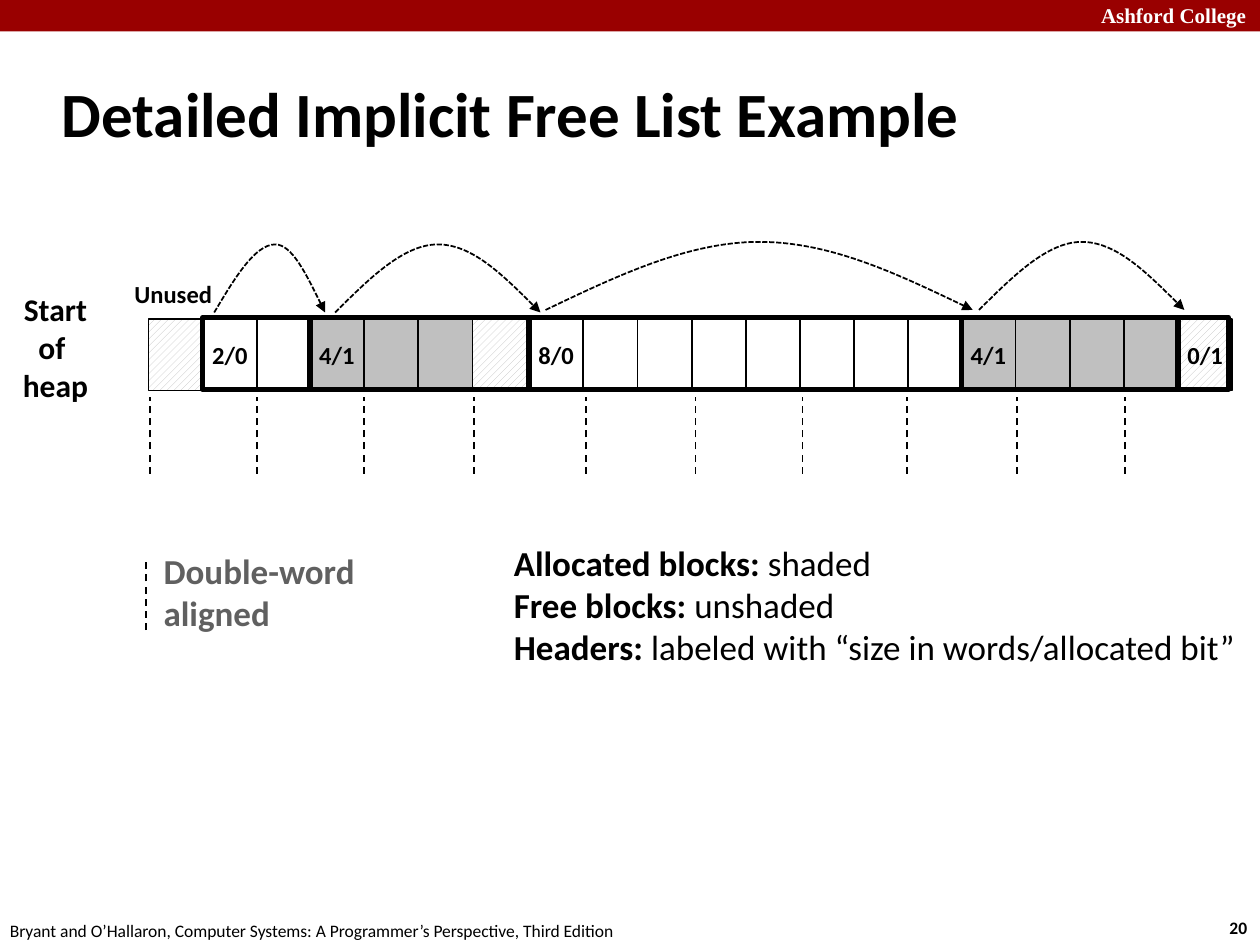
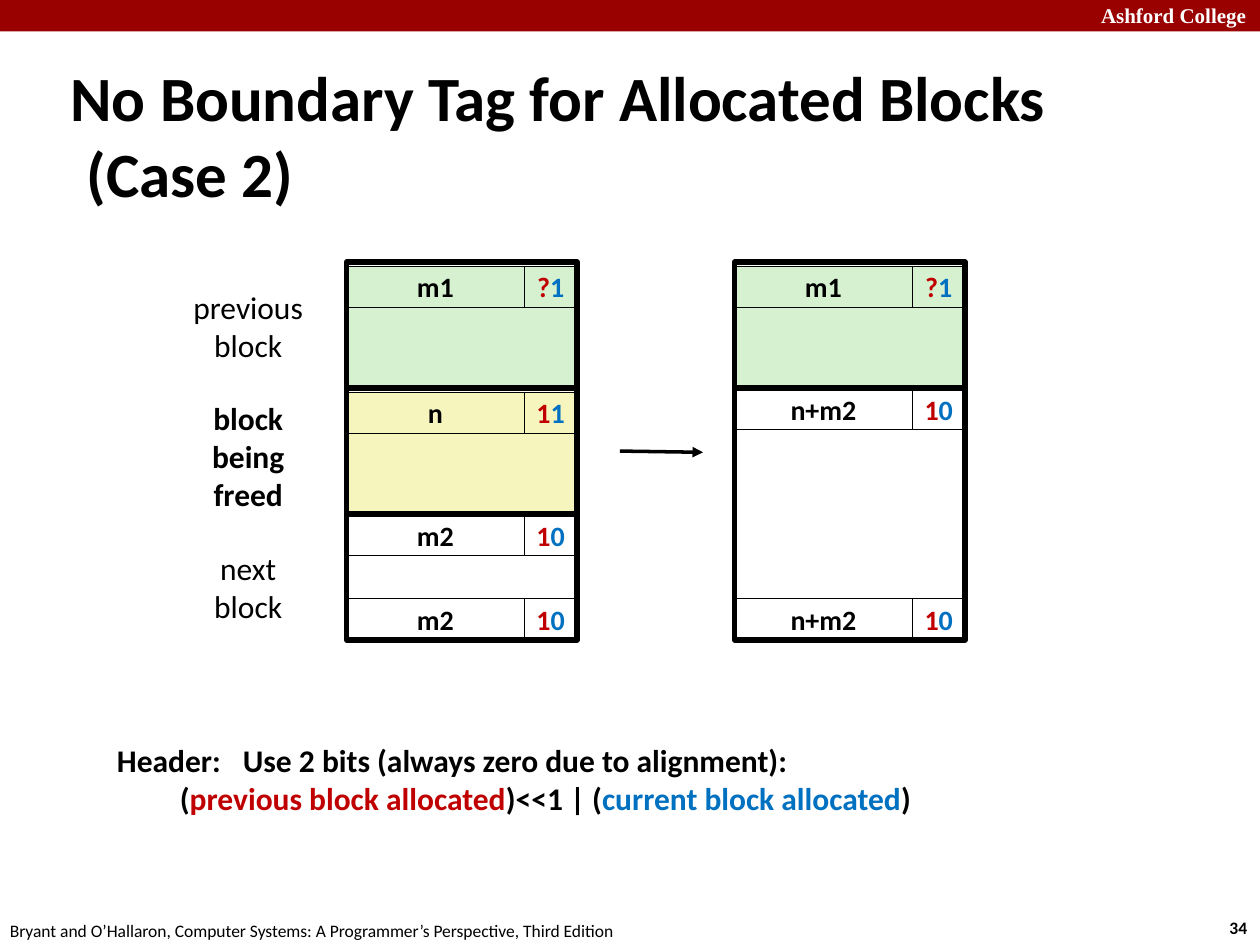
"""Build two lecture slides about heap blocks and boundary tags."""
from dataclasses import dataclass

from lxml.etree import SubElement
from pptx import Presentation
from pptx.dml.color import RGBColor
from pptx.enum.dml import MSO_LINE, MSO_PATTERN
from pptx.enum.shapes import MSO_CONNECTOR, MSO_SHAPE
from pptx.enum.text import MSO_ANCHOR, MSO_AUTO_SIZE, PP_ALIGN
from pptx.oxml.ns import qn
from pptx.util import Inches, Pt


@dataclass(frozen=True)
class Theme:
    """Colours, fonts and sizes shared by the slides."""
    black: str = "000000"
    white: str = "FFFFFF"
    band: str = "990000"
    muted: str = "606060"
    shaded: str = "C0C0C0"
    green: str = "D5F1CF"
    yellow: str = "F6F5BD"
    previous_bit: str = "C00000"
    current_bit: str = "0070C0"
    font: str = "Calibri"
    band_font: str = "Times New Roman"
    title: int = 36
    legend: int = 20
    label: int = 18
    tag: int = 16
    word: int = 14
    band_size: int = 12
    footer: int = 10
    hairline: float = 0.26
    thin: float = 1
    arrow: float = 2
    thick: float = 3


@dataclass(frozen=True)
class Box:
    """A region in inches."""
    left: float
    top: float
    width: float
    height: float

    def lengths(self):
        """Return the four sides as lengths."""
        return [Inches(side) for side in (self.left, self.top, self.width, self.height)]


THEME = Theme()
HATCHED = "hatched"
CITATION = "Bryant and O’Hallaron, Computer Systems: A Programmer’s Perspective, Third Edition"


def color(code):
    """Turn a hexadecimal code into a colour."""
    return RGBColor.from_string(code)


def add_runs(paragraph, runs, size, font=THEME.font):
    """Add (text, bold, colour) runs, with line breaks where a text has them."""
    for text, bold, code in runs:
        for number, line in enumerate(text.split("\n")):
            if number:
                paragraph.add_line_break()
            run = paragraph.add_run()
            run.text = line
            run.font.name, run.font.size = font, Pt(size)
            run.font.bold, run.font.color.rgb = bold, color(code)


def add_text(slide, box, paragraphs, size, align=PP_ALIGN.LEFT, anchor=MSO_ANCHOR.TOP,
             wrap=False, font=THEME.font):
    """Add a text box holding one list of runs for each paragraph."""
    frame = slide.shapes.add_textbox(*box.lengths()).text_frame
    frame.word_wrap, frame.vertical_anchor = wrap, anchor
    frame.auto_size = MSO_AUTO_SIZE.SHAPE_TO_FIT_TEXT
    for number, runs in enumerate(paragraphs):
        paragraph = frame.add_paragraph() if number else frame.paragraphs[0]
        paragraph.alignment = align
        add_runs(paragraph, runs, size, font)


def add_rectangle(slide, box, fill=None, weight=None, runs=(), size=THEME.tag):
    """Add a rectangle with optional fill, black outline and centred text."""
    shape = slide.shapes.add_shape(MSO_SHAPE.RECTANGLE, *box.lengths())
    shape.shadow.inherit = False
    if fill == HATCHED:
        shape.fill.patterned()
        shape.fill.pattern = MSO_PATTERN.WIDE_UPWARD_DIAGONAL
        shape.fill.fore_color.rgb = color(THEME.shaded)
        shape.fill.back_color.rgb = color(THEME.white)
    elif fill:
        shape.fill.solid()
        shape.fill.fore_color.rgb = color(fill)
    else:
        shape.fill.background()
    if weight:
        style_line(shape, weight)
    else:
        shape.line.fill.background()
    if runs:
        frame = shape.text_frame
        frame.word_wrap, frame.vertical_anchor = False, MSO_ANCHOR.MIDDLE
        frame.paragraphs[0].alignment = PP_ALIGN.CENTER
        add_runs(frame.paragraphs[0], runs, size)


def style_line(shape, weight, dash=None, arrow=False):
    """Draw the line of a shape in black, with optional dashes and arrowhead."""
    shape.line.color.rgb = color(THEME.black)
    shape.line.width = Pt(weight)
    if dash:
        shape.line.dash_style = dash
    if arrow:
        SubElement(shape.line._get_or_add_ln(), qn("a:tailEnd"), type="triangle")


def add_line(slide, start, end, weight=THEME.thin, dash=None, arrow=False):
    """Add a straight connector between two points."""
    ends = [Inches(value) for value in (*start, *end)]
    connector = slide.shapes.add_connector(MSO_CONNECTOR.STRAIGHT, *ends)
    style_line(connector, weight, dash, arrow)
    SubElement(connector._element.spPr, qn("a:effectLst"))


def add_arc(slide, box, peak=0.5):
    """Add a dashed arched arrow across a box, highest at the given share of its width."""
    left, top, width, height = box.lengths()
    builder = slide.shapes.build_freeform(left, top + height, scale=1.0)
    builder.add_line_segments([(left + int(width * peak), top), (left + width, top + height)],
                              close=False)
    shape = builder.convert_to_shape()
    shape.shadow.inherit = False
    shape.fill.background()
    style_line(shape, THEME.thin, MSO_LINE.SQUARE_DOT, arrow=True)
    outline = shape._element.find(".//" + qn("a:path"))
    for segment in outline.findall(qn("a:lnTo")):
        outline.remove(segment)
    rest = 1 - peak
    curves = [[(peak / 3, 0.5), (peak * 2 / 3, 0), (peak, 0)],
              [(peak + rest / 3, 0), (peak + rest * 2 / 3, 0.5), (1, 1)]]
    for curve in curves:
        bezier = SubElement(outline, qn("a:cubicBezTo"))
        for across, down in curve:
            SubElement(bezier, qn("a:pt"), x=str(int(width * across)), y=str(int(height * down)))


def start_slide(presentation, title, title_box, number):
    """Add a slide with the common band, footer, page number and title."""
    slide = presentation.slides.add_slide(presentation.slide_layouts[5])
    add_rectangle(slide, Box(0, 0, 10, 0.25), THEME.band)
    add_text(slide, Box(8.64, -0.03, 1.43, 0.3), [[("Ashford College", True, THEME.white)]],
             THEME.band_size, wrap=True, font=THEME.band_font)
    add_text(slide, Box(9.66, 7.23, 0.37, 0.27), [[(number, True, THEME.black)]], THEME.footer)
    add_text(slide, Box(-0.02, 7.25, 5.08, 0.27), [[(CITATION, False, THEME.black)]], THEME.footer)
    shape = slide.shapes.title
    shape.left, shape.top, shape.width, shape.height = title_box.lengths()
    frame = shape.text_frame
    frame.word_wrap, frame.auto_size = True, MSO_AUTO_SIZE.NONE
    frame.vertical_anchor = MSO_ANCHOR.MIDDLE
    paragraph = frame.paragraphs[0]
    paragraph.alignment = PP_ALIGN.LEFT
    properties = paragraph._p.get_or_add_pPr()
    properties.set("marL", str(Inches(0.13)))
    properties.set("indent", str(Inches(-0.13)))
    add_runs(paragraph, [(title, True, THEME.black)], THEME.title)
    return slide


def draw_heap(slide, box):
    """Draw the row of heap words with block outlines, jumps and alignment marks."""
    word = 0.43
    free, used = THEME.white, THEME.shaded
    blocks = [(0.43, 0.85, "2/0", [free] * 2),
              (1.28, 1.74, "4/1", [used] * 3 + [HATCHED]),
              (3.02, 3.43, "8/0", [free] * 8),
              (6.45, 1.72, "4/1", [used] * 4),
              (8.17, 0.4, "0/1", [HATCHED])]
    add_rectangle(slide, Box(box.left, box.top, word, box.height), HATCHED, THEME.thin)
    for offset, width, header, fills in blocks:
        for index, fill in enumerate(fills):
            cell = Box(box.left + offset + index * word, box.top, word, box.height)
            runs = [] if index else [(header, True, THEME.black)]
            add_rectangle(slide, cell, fill, THEME.thin, runs, THEME.word)
    for offset, width, header, fills in blocks:
        add_rectangle(slide, Box(box.left + offset, box.top - 0.01, width, box.height),
                      weight=THEME.thick)
    for offset, rise, width, peak in [(0.52, 0.59, 0.88, 0.55), (1.48, 0.59, 1.63, 0.5),
                                      (3.15, 0.61, 3.39, 0.5), (6.59, 0.61, 1.63, 0.5)]:
        add_arc(slide, Box(box.left + offset, box.top - rise, width, 0.54), peak)
    for offset in (0.01, 0.86, 1.71, 2.58, 3.47, 4.34, 5.19, 6.02, 6.89, 7.75):
        across = box.left + offset
        add_line(slide, (across, box.top + 1.23), (across, box.top + 0.62), dash=MSO_LINE.DASH)
    add_text(slide, Box(box.left - 0.26, box.top - 0.38, 0.91, 0.37),
             [[("Unused", True, THEME.black)]], THEME.word, PP_ALIGN.CENTER, MSO_ANCHOR.MIDDLE)
    add_text(slide, Box(box.left - 1.1, box.top - 0.28, 0.72, 1.01),
             [[(text, True, THEME.black)] for text in ("Start ", "of ", "heap")],
             THEME.label, PP_ALIGN.CENTER, MSO_ANCHOR.MIDDLE)


def draw_legend(slide, box):
    """Explain the alignment marks, the shading and the headers."""
    add_line(slide, (box.left, box.top + 0.75), (box.left, box.top + 0.2), dash=MSO_LINE.DASH)
    add_text(slide, Box(box.left + 0.04, box.top + 0.06, 2.04, 0.77),
             [[(text, True, THEME.muted)] for text in ("Double-word", "aligned")],
             THEME.legend, anchor=MSO_ANCHOR.MIDDLE, wrap=True)
    entries = [("Allocated blocks: ", "shaded"), ("Free blocks: ", "unshaded"),
               ("Headers: ", "labeled with “size in words/allocated bit”")]
    add_text(slide, Box(box.left + 2.82, box.top, box.width - 2.82, box.height),
             [[(term, True, THEME.black), (meaning, False, THEME.black)]
              for term, meaning in entries], THEME.legend)


def draw_block(slide, box, label, bits, fill):
    """Draw one block: a header, a body, a footer when it is free, and an outline."""
    row, bits_width = 0.33, 0.42
    label_width = box.width - bits_width
    is_free = fill == THEME.white
    header_top = box.top if is_free else box.top + 0.03
    bottom = box.top + box.height
    add_rectangle(slide, Box(box.left, header_top + row, box.width, bottom - header_top - row),
                  fill, THEME.hairline)
    previous, current = bits
    bit_runs = [(previous, True, THEME.previous_bit), (current, True, THEME.current_bit)]
    for top in [header_top, bottom - row] if is_free else [header_top]:
        add_rectangle(slide, Box(box.left, top, label_width, row), fill, THEME.hairline,
                      [(label, True, THEME.black)])
        add_rectangle(slide, Box(box.left + label_width, top, bits_width, row), fill,
                      THEME.hairline, bit_runs)
    add_rectangle(slide, box, weight=THEME.thick)


def draw_column(slide, box, blocks):
    """Stack blocks of given heights from the top of a box."""
    top = box.top
    for height, label, bits, fill in blocks:
        draw_block(slide, Box(box.left, top, box.width, height), label, bits, fill)
        top += height


def draw_coalescing(slide, box):
    """Draw the blocks before and after freeing, with labels and an arrow."""
    column = 1.83
    previous = (1, "m1", "?1", THEME.green)
    draw_column(slide, Box(box.left + 1.33, box.top, column, box.height),
                [previous, (1, "n", "11", THEME.yellow), (1, "m2", "10", THEME.white)])
    draw_column(slide, Box(box.left + 4.41, box.top, column, box.height),
                [previous, (2, "n+m2", "10", THEME.white)])
    add_line(slide, (box.left + 3.5, box.top + 1.5), (box.left + 4.16, box.top + 1.51),
             THEME.arrow, arrow=True)
    for offset, width, height, text, bold in [(0.16, 1.1, 0.71, "previous\nblock", False),
                                              (1.04, 0.78, 1.01, "block\nbeing\nfreed", True),
                                              (2.23, 0.76, 0.71, "next\nblock", False)]:
        label_box = Box(box.left + 0.55 - width / 2, box.top + offset, width, height)
        add_text(slide, label_box, [[(text, bold, THEME.black)]], THEME.label, PP_ALIGN.CENTER)


def draw_header_note(slide, box):
    """Explain how the two low bits of a header are used."""
    parts = [("Header: \tUse 2 bits (always zero due to alignment):\n\t(", THEME.black),
             ("previous block allocated", THEME.previous_bit), (")<<1 | (", THEME.black),
             ("current block allocated", THEME.current_bit), (")", THEME.black)]
    add_text(slide, box, [[(text, True, code) for text, code in parts]], THEME.label)


def main():
    """Build and save the presentation."""
    presentation = Presentation()
    presentation.slide_width, presentation.slide_height = Inches(10), Inches(7.5)

    slide = start_slide(presentation, "Detailed Implicit Free List Example",
                        Box(0.39, 0.48, 8.3, 0.83), "20")
    draw_heap(slide, Box(1.18, 2.53, 8.6, 0.57))
    draw_legend(slide, Box(1.16, 4.25, 8.79, 1.11))

    slide = start_slide(presentation, "No Boundary Tag for Allocated Blocks (Case 2)",
                        Box(0.46, 0.75, 9.08, 0.63), "34")
    draw_coalescing(slide, Box(1.42, 2.08, 6.24, 3))
    draw_header_note(slide, Box(0.83, 5.83, 7.06, 0.71))

    presentation.save("out.pptx")


main()
